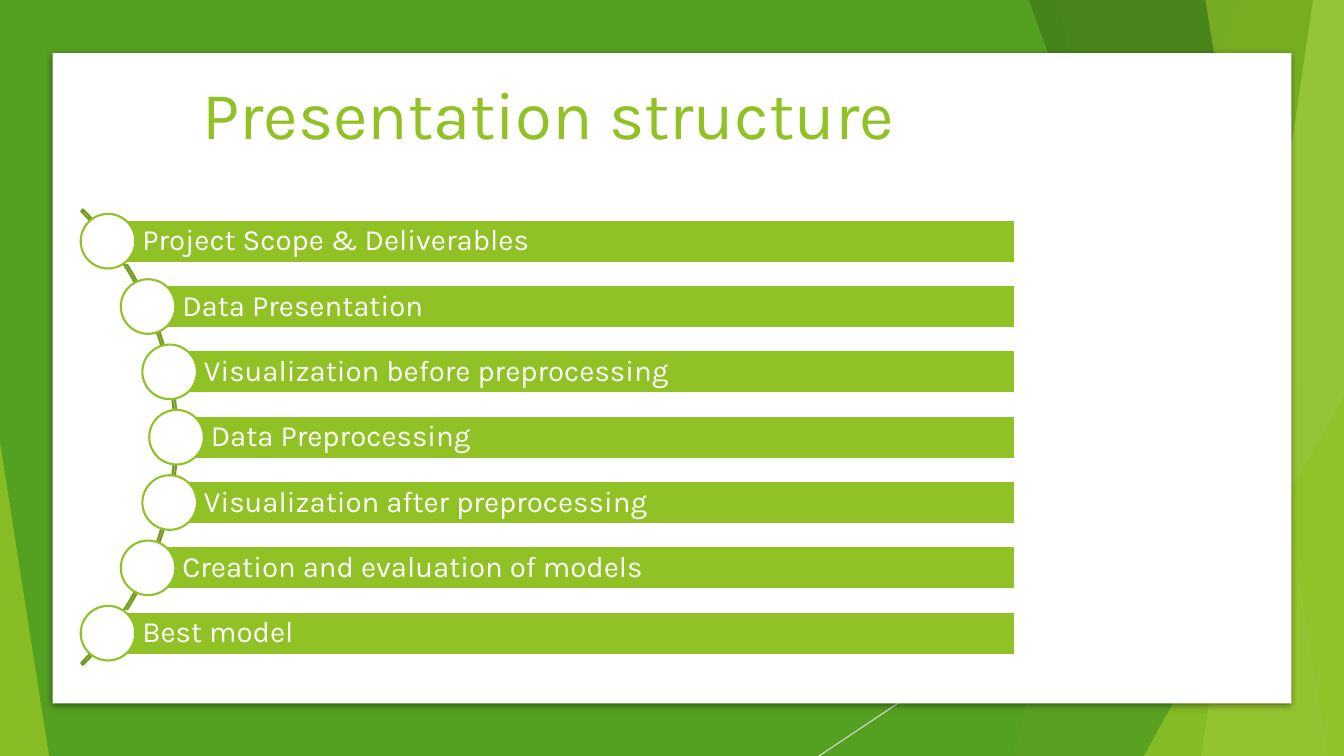
from math import sqrt
from lxml.etree import SubElement
from pptx import Presentation
from pptx.dml.color import RGBColor
from pptx.enum.shapes import MSO_CONNECTOR, MSO_SHAPE
from pptx.enum.text import MSO_ANCHOR, PP_ALIGN
from pptx.oxml.ns import qn
from pptx.util import Pt

WIDE, HIGH = 960, 540
FONT = "Karla"
LIME = RGBColor(0x90, 0xC2, 0x26)
GREEN = RGBColor(0x54, 0xA0, 0x21)
DARK = RGBColor(0x3F, 0x78, 0x19)
PALE = RGBColor(0xC0, 0xE4, 0x74)
OLIVE = RGBColor(0x73, 0x9B, 0x1E)
GRAY = RGBColor(0xD9, 0xD9, 0xD9)
WHITE = RGBColor(0xFF, 0xFF, 0xFF)

TOPICS = [
    "Project Scope & Deliverables",
    "Data Presentation",
    "Visualization before preprocessing",
    "Data Preprocessing",
    "Visualization after preprocessing",
    "Creation and evaluation of models",
    "Best model",
]


def paint(shape, fill=None, line=None, alpha=100):
    shape.shadow.inherit = False
    if fill is None:
        shape.fill.background()
    else:
        shape.fill.solid()
        shape.fill.fore_color.rgb = fill
    if alpha < 100:
        tint = shape.element.spPr.find(qn("a:solidFill"))[0]
        SubElement(tint, qn("a:alpha"), val=str(alpha * 1000))
    if line is None:
        shape.line.fill.background()
    else:
        shape.line.color.rgb = line
        shape.line.width = Pt(1.5)
    return shape


def draw(slide, kind, box, **style):
    shape = slide.shapes.add_shape(kind, *map(Pt, box))
    return paint(shape, **style)


def write(shape, text, size, color, align=PP_ALIGN.LEFT,
          anchor=MSO_ANCHOR.MIDDLE, inset=(7.2, 3.6, 7.2, 3.6), space=1.0):
    frame = shape.text_frame
    frame.word_wrap = True
    frame.vertical_anchor = anchor
    (frame.margin_left, frame.margin_top,
     frame.margin_right, frame.margin_bottom) = map(Pt, inset)
    para = frame.paragraphs[0]
    para.alignment = align
    para.line_spacing = space
    run = para.add_run()
    run.text = text
    run.font.name = FONT
    run.font.size = Pt(size)
    run.font.color.rgb = color


def band(slide, box, top, base, fill, alpha):
    """Slanted band that runs to the right edge of the box."""
    left, y, width, height = box
    right, foot = left + width, y + height
    form = slide.shapes.build_freeform(Pt(left + top), Pt(y), scale=1.0)
    form.add_line_segments([(Pt(right), Pt(y)), (Pt(right), Pt(foot)),
                            (Pt(left + base), Pt(foot))], close=True)
    paint(form.convert_to_shape(), fill=fill, alpha=alpha)


def wedge(slide, box, width, height, tip, fill, alpha):
    """Right triangle in the lower corner on the side of its tip."""
    x, y, wide, high = box
    place = (x + tip * (wide - width), y + high - height, width, height)
    shape = draw(slide, MSO_SHAPE.ISOSCELES_TRIANGLE, place,
                 fill=fill, alpha=alpha)
    shape.adjustments[0] = tip


def backdrop(slide, box):
    x, y, width, height = box
    draw(slide, MSO_SHAPE.RECTANGLE, box, fill=GREEN)
    ray = slide.shapes.add_connector(
        MSO_CONNECTOR.STRAIGHT, Pt(x + width), Pt(y + 290),
        Pt(x + 585), Pt(y + height))
    ray.line.color.rgb = GRAY
    ray.line.width = Pt(0.75)
    SubElement(ray.element.spPr, qn("a:effectLst"))

    # Facets, from back to front
    band(slide, box, 884, 723, LIME, 30)
    band(slide, box, 756, 852, LIME, 20)
    wedge(slide, box, 256, 300, 1, GREEN, 72)
    band(slide, box, 735, 930, DARK, 70)
    band(slide, box, 938, 858, PALE, 70)
    band(slide, box, 861, 949, LIME, 65)
    wedge(slide, box, 143, 257, 1, LIME, 80)
    wedge(slide, box, 35, 224, 0, LIME, 85)


def panel(slide, box):
    card = draw(slide, MSO_SHAPE.RECTANGLE, box, fill=WHITE)
    effect = card.element.spPr.find(qn("a:effectLst"))
    shade = SubElement(effect, qn("a:outerShdw"), blurRad=str(Pt(5)),
                       dist=str(Pt(1.4)), dir="5400000", rotWithShape="0")
    black = SubElement(shade, qn("a:srgbClr"), val="000000")
    SubElement(black, qn("a:alpha"), val="43000")


def title(slide, box):
    area = slide.shapes.add_textbox(*map(Pt, box))
    write(area, "Presentation structure", 48, LIME,
          align=PP_ALIGN.CENTER, anchor=MSO_ANCHOR.TOP)


def agenda(slide, box):
    """Topic bars whose dots follow a curve bulging to the right."""
    left, top, width, height = box
    bar, dot, radius, crest = 31, 39, 224.7, 68.7
    step = (height - dot) / (len(TOPICS) - 1)
    middle = top + height / 2

    # Guide arc
    size = 460
    arc = draw(slide, MSO_SHAPE.BLOCK_ARC,
               (left + 69.2 - size, middle - size / 2, size, size), line=OLIVE)
    for i, value in enumerate((189, 27, 0.004)):
        arc.adjustments[i] = value

    # Bars and dots
    for i, topic in enumerate(TOPICS):
        y = top + dot / 2 + i * step
        x = left + crest - radius + sqrt(radius ** 2 - (y - middle) ** 2)
        strip = draw(slide, MSO_SHAPE.RECTANGLE,
                     (x, y - bar / 2, left + width - x, bar),
                     fill=LIME, line=WHITE)
        write(strip, topic, 21, WHITE, inset=(24.5, 4.2, 4.2, 4.2), space=0.9)
        draw(slide, MSO_SHAPE.OVAL, (x - dot / 2, y - dot / 2, dot, dot),
             fill=WHITE, line=LIME)


def main():
    deck = Presentation()
    deck.slide_width, deck.slide_height = Pt(WIDE), Pt(HIGH)
    slide = deck.slides.add_slide(deck.slide_layouts[6])
    backdrop(slide, (0, 0, WIDE, HIGH))
    panel(slide, (37.5, 38, 885, 464.5))
    title(slide, (53.3, 48.2, 676.8, 103.7))
    agenda(slide, (57.4, 152.8, 668, 319))
    deck.save("out.pptx")


if __name__ == "__main__":
    main()
